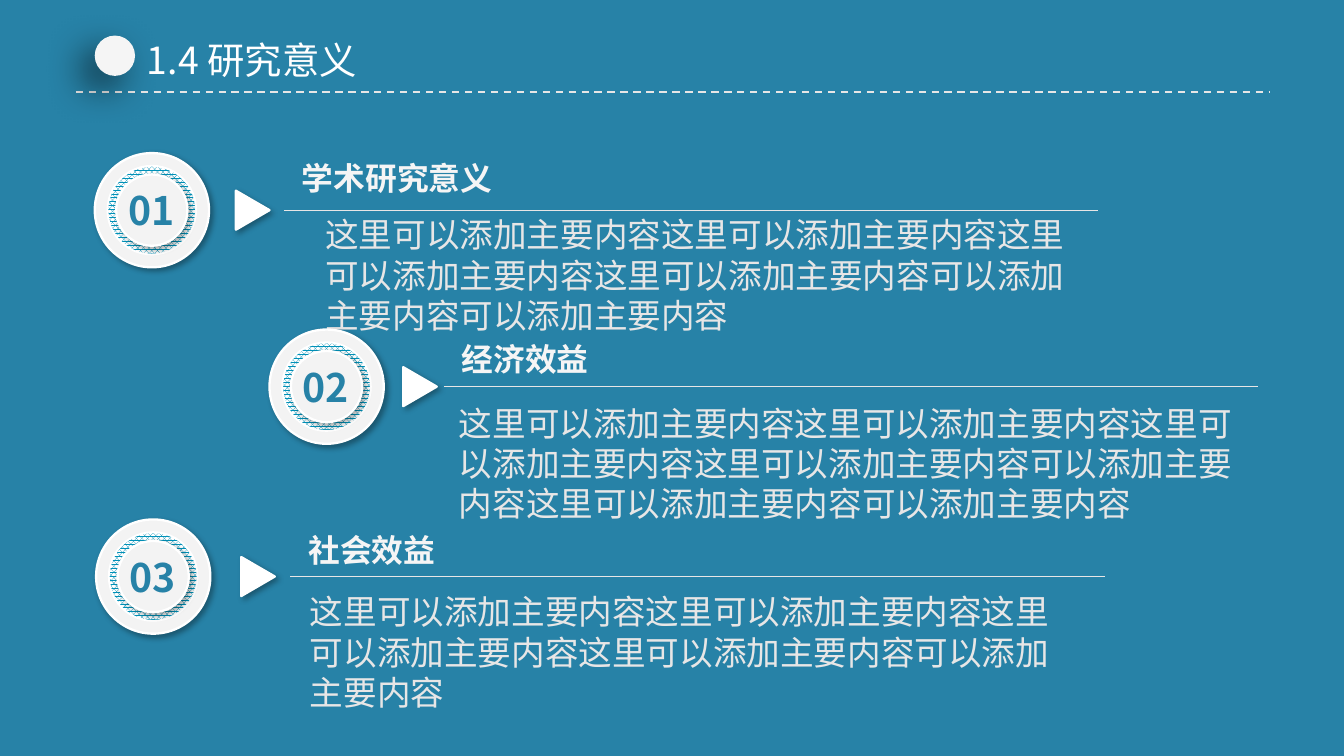
import pptx
import pptx.util
import pptx.dml.color
import pptx.oxml.ns
from lxml import etree
from pptx.enum.dml import MSO_LINE, MSO_PATTERN
from pptx.enum.shapes import MSO_CONNECTOR, MSO_SHAPE
from pptx.enum.text import PP_ALIGN

COLS, ROWS = 100, 56.25
FONT = "Noto Sans CJK SC"
HEX = {"back": "2782A7", "white": "FFFFFF", "pale": "F5F5F5", "disc": "F3F3F3",
       "rule": "E7E6E6", "hatch": "0091B8", "dark": "000000"}
SOFT = (32, 3, 2, 45)   # opacity %, blur pt, distance pt, angle
DEEP = (60, 20, 10, 135)
HAIR = 0.01
PART = "这里可以添加主要内容"
TAIL = "可以添加主要内容"

# rule x and y, ring centre x, arrow centre x, heading rise, body offset x and y, body width
ITEMS = [
    ("01", "学术研究意义", PART * 4 + TAIL * 2,
     (21.15, 15.64, 11.3, 18.8, 4.2, 2.35, -0.1, 58.2)),
    ("02", "经济效益", PART * 4 + TAIL + PART + TAIL,
     (33.05, 28.77, 24.3, 31.25, 3.9, 0.4, 0.8, 59.2)),
    ("03", "社会效益", PART * 4 + TAIL,
     (21.65, 42.9, 11.4, 19.2, 3.8, 0.7, 0.7, 58.2)),
]

deck = pptx.Presentation()
deck.slide_width = pptx.util.Inches(10)
deck.slide_height = pptx.util.Inches(5.625)
slide = deck.slides.add_slide(deck.slide_layouts[6])


def color(name):
    return pptx.dml.color.RGBColor.from_string(HEX[name])


def grid(x, y, w, h):
    wide, high = deck.slide_width / COLS, deck.slide_height / ROWS
    return int(x * wide), int(y * high), int(w * wide), int(h * high)


def tag(node, name, **attrs):
    return etree.SubElement(node, pptx.oxml.ns.qn("a:" + name), **attrs)


def shade(shape, look):
    alpha, blur, dist, angle = look
    node = shape._element.spPr.find(pptx.oxml.ns.qn("a:effectLst"))
    drop = tag(node, "outerShdw", blurRad=str(blur * 12700), dist=str(dist * 12700),
               dir=str(angle * 60000), algn="ctr", rotWithShape="0")
    tint = tag(drop, "srgbClr", val=HEX["dark"])
    tag(tint, "alpha", val=str(alpha * 1000))


def solid(kind, mid, size, fill, edge=None, width=1.25, look=None):
    """Adds a filled shape centred on mid."""
    (x, y), (w, h) = mid, size
    shape = slide.shapes.add_shape(kind, *grid(x - w / 2, y - h / 2, w, h))
    shape.fill.solid()
    shape.fill.fore_color.rgb = color(fill)
    if edge:
        shape.line.color.rgb = color(edge)
        shape.line.width = pptx.util.Pt(width)
    else:
        shape.line.fill.background()
    shape.shadow.inherit = False
    if look:
        shade(shape, look)
    return shape


def rule(x, y, w, width, dash=None):
    left, top, wide, _ = grid(x, y, w, 0)
    line = slide.shapes.add_connector(MSO_CONNECTOR.STRAIGHT, left, top, left + wide, top)
    line.line.color.rgb = color("rule")
    line.line.width = pptx.util.Pt(width)
    if dash:
        line.line.dash_style = dash
    tag(line._element.spPr, "effectLst")


def text(box, words, size, tint, bold=False, align=PP_ALIGN.LEFT, pad=(0.07, 0.04)):
    frame = slide.shapes.add_textbox(*grid(*box)).text_frame
    frame.word_wrap = True
    frame.margin_left = frame.margin_right = pptx.util.Inches(pad[0])
    frame.margin_top = frame.margin_bottom = pptx.util.Inches(pad[1])
    frame.text = words
    para = frame.paragraphs[0]
    para.alignment = align
    run = para.runs[0]
    run.font.name = FONT
    run.font.size = pptx.util.Pt(size)
    run.font.bold = bold
    run.font.color.rgb = color(tint)
    tag(run._r.get_or_add_rPr(), "ea", typeface=FONT)


def header(x, y, w, h):
    """Title with a dot, above a dashed rule at the foot of the box."""
    rule(x, y + h, w, 1, MSO_LINE.DASH)
    solid(MSO_SHAPE.OVAL, (x + 2.9, y + 1.85), (3, 3), "pale", look=DEEP)
    text((x + 4.3, y, 18.5, 4.4), "1.4 研究意义", 20, "white", pad=(0.1, 0.05))


def badge(x, y, label):
    """Three stacked discs centred on x, y, with a number."""
    oval = MSO_SHAPE.OVAL
    solid(oval, (x, y), (8.5, 8.5), "disc", "white", look=SOFT)
    band = solid(oval, (x, y), (6.6, 6.6), "white", "white", 1)
    band.fill.patterned()
    band.fill.pattern = MSO_PATTERN.PERCENT_80
    band.fill.fore_color.rgb = color("hatch")
    band.fill.back_color.rgb = color("white")
    solid(oval, (x, y), (5.3, 5.3), "disc", "white", look=SOFT)
    text((x - 2.6, y - 2.15, 5.1, 4.3), label, 21, "back", True, PP_ALIGN.CENTER)


def item(label, head, body, place):
    x, y, ring, arrow, rise, dx, dy, wide = place
    badge(ring, y, label)
    mark = solid(MSO_SHAPE.ISOSCELES_TRIANGLE, (arrow, y), (2.9, 2.5),
                 "white", "white", look=SOFT)
    mark.rotation = 90
    rule(x, y, 60.5, HAIR)
    text((x + 0.6, y - rise, 30, 3.6), head, 17, "pale", True)
    text((x + dx, y + dy, wide, 9.8), body, 18, "rule")


slide.background.fill.solid()
slide.background.fill.fore_color.rgb = color("back")
header(5.65, 2.3, 88.8, 4.55)
for entry in ITEMS:
    item(*entry)
deck.save("out.pptx")
